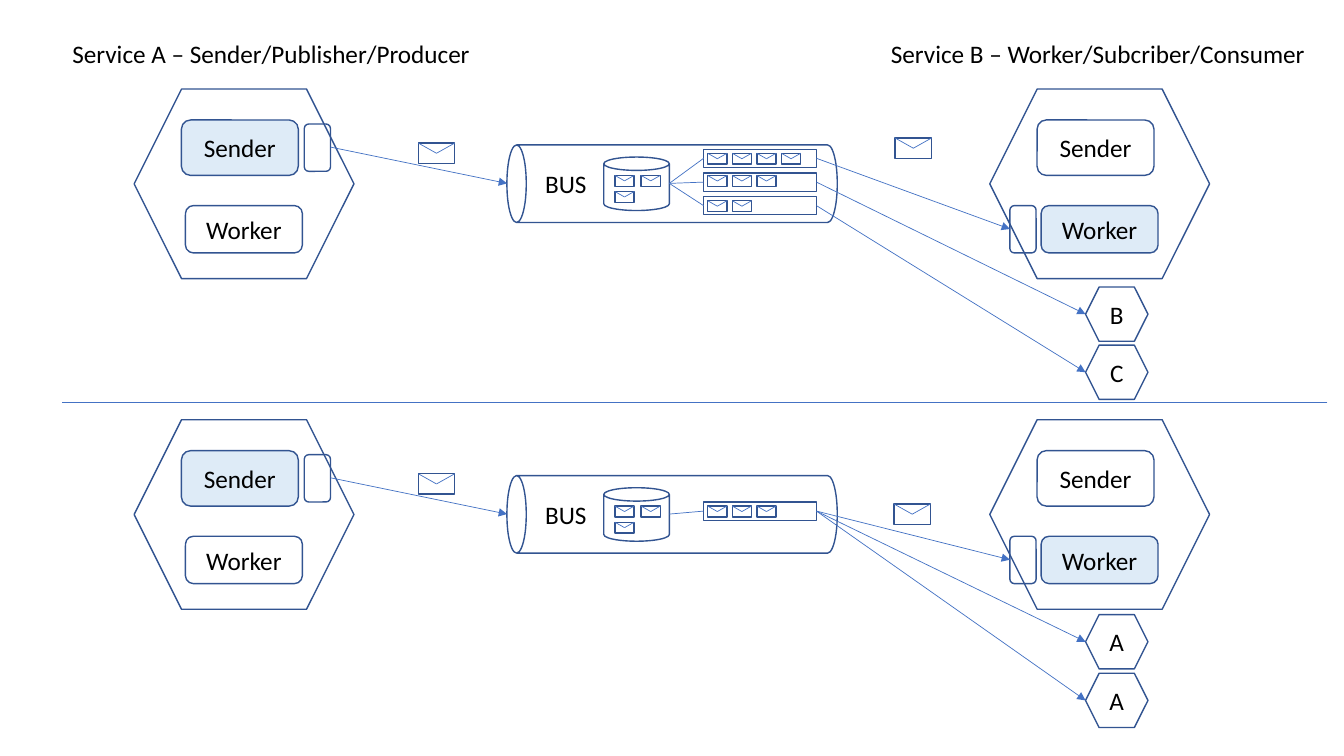
from lxml import etree
from pptx import Presentation
from pptx.dml.color import RGBColor
from pptx.enum.shapes import MSO_CONNECTOR as Conn, MSO_SHAPE as Kind
from pptx.enum.text import MSO_ANCHOR as Anchor, MSO_AUTO_SIZE as Fit, PP_ALIGN as Align
from pptx.oxml.ns import qn
from pptx.util import Pt

EDGE = RGBColor(0x32, 0x54, 0x91)
LINK = RGBColor(0x44, 0x72, 0xC4)
PALE = RGBColor(0xDE, 0xEB, 0xF7)
BLACK = RGBColor(0, 0, 0)

LEFT, RIGHT = 95.8, 707    # service hexagons
DROP = 236.2               # from the upper to the lower scene
PEER_X = 775.4
STORE_X, STORE_W = 431.3, 46.8
QUEUE_X, QUEUE_W, QUEUE_H = 502.6, 80.6, 13
MID = 131                  # axis of the bus
PORT_W, BOX_W, BOX_H = 18.7, 83.5, 33.8


def write(frame, text):
    para = frame.paragraphs[0]
    run = para.add_run()
    run.text = text
    run.font.name = "Calibri"
    run.font.size = Pt(18)
    run.font.color.rgb = BLACK
    return para


def shape(shapes, kind, x, y, w, h, text="", fill=None):
    item = shapes.add_shape(kind, Pt(x), Pt(y), Pt(w), Pt(h))
    item.shadow.inherit = False
    if fill is None:
        item.fill.background()
    else:
        item.fill.solid()
        item.fill.fore_color.rgb = fill
    item.line.color.rgb = EDGE
    item.line.width = Pt(1)
    if text:
        frame = item.text_frame
        frame.margin_left = frame.margin_right = 0
        frame.vertical_anchor = Anchor.MIDDLE
        write(frame, text).alignment = Align.CENTER
    return item


def label(shapes, x, y, w, text):
    frame = shapes.add_textbox(Pt(x), Pt(y), Pt(w), Pt(29)).text_frame
    frame.word_wrap = False
    frame.auto_size = Fit.SHAPE_TO_FIT_TEXT
    write(frame, text)


def link(shapes, start, end, arrow=False):
    line = shapes.add_connector(Conn.STRAIGHT, *map(Pt, start + end))
    line.line.color.rgb = LINK
    line.line.width = Pt(0.5)
    if arrow:
        etree.SubElement(line.line._get_or_add_ln(), qn("a:tailEnd"), type="triangle")
    etree.SubElement(line._element.spPr, qn("a:effectLst"))


def letter(shapes, x, y, w=13.8, h=7.8):
    parts = shapes.add_group_shape().shapes
    shape(parts, Kind.RECTANGLE, x, y, w, h)
    fold = (x + w / 2, y + h / 2)
    link(parts, (x, y), fold)
    link(parts, fold, (x + w, y))


def service(shapes, x, top, sends):
    shape(shapes, Kind.HEXAGON, x, top + 63.6, 157, 135.4)
    box = Kind.ROUNDED_RECTANGLE
    shape(shapes, box, x + 33.8, top + 85.7, BOX_W, 39.6, "Sender", PALE if sends else None)
    shape(shapes, box, x + 36.7, top + 146.9, BOX_W, BOX_H, "Worker", None if sends else PALE)
    dx, dy = (121.6, 88.6) if sends else (14.4, 146.9)
    shape(shapes, box, x + dx, top + dy, PORT_W, BOX_H)


def bus(shapes, top, queues):
    pipe = shape(shapes, Kind.CAN, 452.4, top + 13.2, 55.4, 236)
    pipe.rotation = 270
    label(shapes, 382.3, top + 116.6, 44.6, "BUS")
    shape(shapes, Kind.CAN, STORE_X, top + 112.2, STORE_W, 38.2)
    for x, y in ((439.2, 125.3), (457.9, 125.3), (439.2, 136.8)):
        letter(shapes, x, top + y)
    for y, inset, count in queues:
        shape(shapes, Kind.RECTANGLE, QUEUE_X, top + y, QUEUE_W, QUEUE_H)
        link(shapes, (QUEUE_X, top + y + QUEUE_H / 2), (STORE_X + STORE_W, top + MID))
        for i in range(count):
            letter(shapes, QUEUE_X + 2.9 + 17.55 * i, top + y + inset)


def scene(shapes, top, queues, peers, mail):
    service(shapes, LEFT, top, True)
    service(shapes, RIGHT, top, False)
    bus(shapes, top, queues)
    link(shapes, (236.2, top + 105.1), (362.2, top + MID), True)
    for x, y in ((298.8, 102.2), mail):
        letter(shapes, x, top + y, 26, 14.6)
    ends = [(RIGHT + 14.4, top + 163.6)]
    for name, y in peers:
        shape(shapes, Kind.HEXAGON, PEER_X, top + y, 44.6, 38.8, name)
        ends.append((PEER_X, top + y + 19.4))
    # One queue feeds every worker, or each worker has its own
    for i, end in enumerate(ends):
        y = queues[i % len(queues)][0]
        link(shapes, (QUEUE_X + QUEUE_W, top + y + QUEUE_H / 2), end, True)


def main():
    deck = Presentation()
    deck.slide_width, deck.slide_height = Pt(960), Pt(540)
    shapes = deck.slides.add_slide(deck.slide_layouts[6]).shapes

    # Titles
    label(shapes, 44.6, 23.8, 301.7, "Service A – Sender/Publisher/Producer")
    label(shapes, 629.3, 23.8, 313.9, "Service B – Worker/Subcriber/Consumer")

    # Upper scene: a queue for each service (top, letter inset, letters)
    scene(shapes, 0, [(106.6, 2.9, 4), (123.6, 1.8, 3), (140.4, 3, 2)],
          [("B", 205), ("C", 246.5)], (639.4, 98.6))
    link(shapes, (948.2, 287.4), (44.6, 287.4))

    # Lower scene: one queue shared by workers of the same service
    scene(shapes, DROP, [(122.4, 2.9, 3)],
          [("A", 202.8), ("A", 244.7)], (638.6, 123.8))

    deck.save("out.pptx")


if __name__ == "__main__":
    main()
